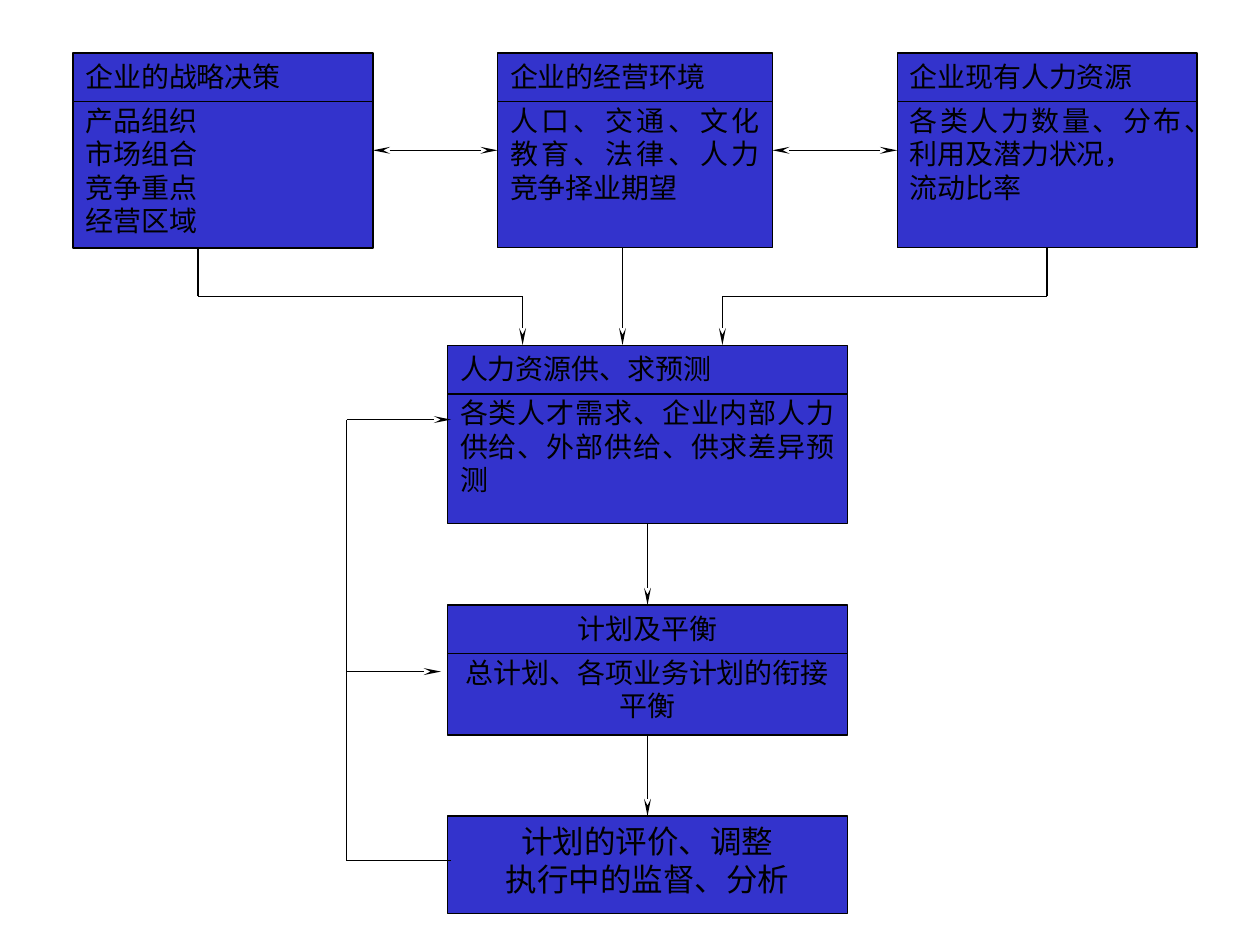
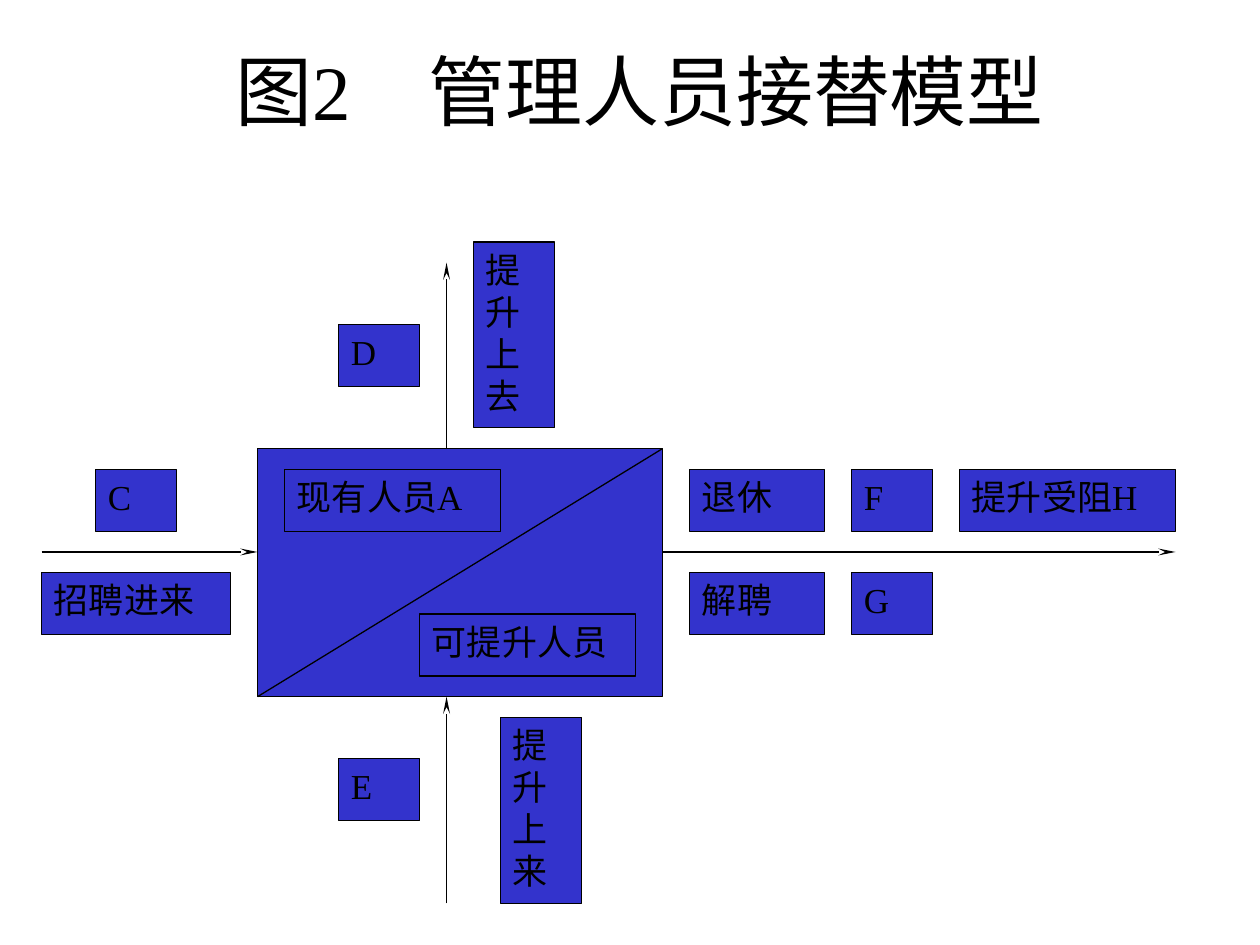
from dataclasses import dataclass
from lxml import etree
from pptx import Presentation, util as u
from pptx.dml.color import RGBColor as Rgb
from pptx.enum import shapes, text
from pptx.oxml.ns import qn

LEFT, MID, JUST = text.PP_ALIGN.LEFT, text.PP_ALIGN.CENTER, text.PP_ALIGN.JUSTIFY


@dataclass(frozen=True)
class Theme:
    fill: Rgb = Rgb(0x33, 0x33, 0xCC)
    ink: Rgb = Rgb(0, 0, 0)
    paper: Rgb = Rgb(255, 255, 255)
    font: str = "Times New Roman"
    line: float = 0.75
    bold: float = 1
    body: int = 16
    note: int = 18
    label: int = 20
    title: int = 44
    gap: int = 6


@dataclass(frozen=True)
class Grid:
    left: float
    top: float
    col: float
    row: float

    def at(self, x, y):
        return u.Inches(self.left + x * self.col), u.Inches(self.top + y * self.row)


T = Theme()
PLAN = Grid(0.58, 0.42, 8.92 / 45, 6.83 / 53)
STAFF = Grid(0.33, 1.92, 9 / 42, 5.25 / 32)
PAGE = Grid(0, 0, 1, 1)

STEPS = [
    ((0, 0, 12, 12), JUST, T.bold, "企业的战略决策",
     ["产品组织", "市场组合", "竞争重点", "经营区域"]),
    ((17, 0, 11, 12), JUST, T.line, "企业的经营环境",
     ["人口、交通、文化教育、法律、人力竞争择业期望"]),
    ((33, 0, 12, 12), JUST, T.line, "企业现有人力资源",
     ["各类人力数量、分布、利用及潜力状况，", "流动比率"]),
    ((15, 18, 16, 11), JUST, T.line, "人力资源供、求预测",
     ["各类人才需求、企业内部人力供给、外部供给、供求差异预测"]),
    ((15, 34, 16, 8), MID, T.line, "计划及平衡",
     ["总计划、各项业务计划的衔接平衡"]),
]
REVIEW = (15, 47, 16, 6), ["计划的评价、调整", "执行中的监督、分析"]
HEAD = 3

PAIRS = [[(12, 6), (17, 6)], [(28, 6), (33, 6)]]
FLOWS = [
    [(22, 12), (22, 18)],
    [(5, 12), (5, 15), (18, 15), (18, 18)],
    [(39, 12), (39, 15), (26, 15), (26, 18)],
    [(23, 29), (23, 34)],
    [(23, 42), (23, 47)],
]
LOOPS = [
    [(3.58, 6.83), (2.75, 6.83), (2.75, 3.33), (3.58, 3.33)],
    [(2.75, 5.33), (3.5, 5.33)],
]

TITLE = "图2　管理人员接替模型"
POOL = (8, 10, 15, 12)
SPLIT = [(23, 10), (8, 22)]
MOVES = [
    [(15, 10), (15, 1)],
    [(15, 32), (15, 22)],
    [(0, 15), (8, 15)],
    [(23, 15), (42, 15)],
]
LABELS = [
    ("提升上去", 16, 0, 3, 9),
    ("D", 11, 4, 3, 3),
    ("提升上来", 17, 23, 3, 9),
    ("E", 11, 25, 3, 3),
    ("招聘进来", 0, 16, 7, 3),
    ("C", 2, 11, 3, 3),
    ("退休", 24, 11, 5, 3),
    ("F", 30, 11, 3, 3),
    ("解聘", 24, 16, 5, 3),
    ("G", 30, 16, 3, 3),
    ("提升受阻H", 34, 11, 8, 3),
    ("现有人员A", 9, 11, 8, 3),
    ("可提升人员", 14, 18, 8, 3),
]


def write(para, words, size, align):
    para.alignment = align
    run = para.add_run()
    run.text = words
    run.font.size = u.Pt(size)
    run.font.name = T.font
    run.font.color.rgb = T.ink


def box(slide, grid, area, lines=(), size=T.body, align=JUST, width=T.line):
    x, y, w, h = area
    left, top = grid.at(x, y)
    right, base = grid.at(x + w, y + h)
    rect = slide.shapes.add_shape(
        shapes.MSO_SHAPE.RECTANGLE, left, top, right - left, base - top)
    rect.shadow.inherit = False
    rect.fill.solid()
    rect.fill.fore_color.rgb = T.fill
    rect.line.color.rgb = T.ink
    rect.line.width = u.Pt(width)
    frame = rect.text_frame
    frame.word_wrap = True
    frame.vertical_anchor = text.MSO_ANCHOR.TOP
    for i, words in enumerate(lines):
        para = frame.add_paragraph() if i else frame.paragraphs[0]
        write(para, words, size, align)
    return frame.paragraphs


def route(slide, grid, points, head=False, tail=False):
    last = len(points) - 2
    for i, (start, end) in enumerate(zip(points, points[1:])):
        link = slide.shapes.add_connector(
            shapes.MSO_CONNECTOR.STRAIGHT, *grid.at(*start), *grid.at(*end))
        link.line.color.rgb = T.ink
        link.line.width = u.Pt(T.line)
        ends = [("a:headEnd", head and i == 0), ("a:tailEnd", tail and i == last)]
        for tag, shown in ends:
            if shown:
                etree.SubElement(link.line._get_or_add_ln(), qn(tag),
                                 type="stealth", w="sm", len="lg")
        etree.SubElement(link._element.spPr, qn("a:effectLst"))


def page(deck, layout):
    slide = deck.slides.add_slide(deck.slide_layouts[layout])
    slide.background.fill.solid()
    slide.background.fill.fore_color.rgb = T.paper
    return slide


def draw_plan(deck):
    slide = page(deck, 6)
    for area, align, width, head, body in STEPS:
        paras = box(slide, PLAN, area, [head, *body], T.body, align, width)
        paras[1].space_before = u.Pt(T.gap)
        x, y, w, _ = area
        route(slide, PLAN, [(x, y + HEAD), (x + w, y + HEAD)])
    area, lines = REVIEW
    box(slide, PLAN, area, lines, T.note, MID)
    for points in PAIRS:
        route(slide, PLAN, points, head=True, tail=True)
    for points in FLOWS:
        route(slide, PLAN, points, tail=True)
    for points in LOOPS:
        route(slide, PAGE, points, tail=True)


def draw_staff(deck):
    slide = page(deck, 5)
    title = slide.shapes.title
    title.left, title.top = PAGE.at(0.83, 0.67)
    title.width, title.height = PAGE.at(8.5, 0.08)
    frame = title.text_frame
    frame.auto_size = text.MSO_AUTO_SIZE.NONE
    frame.vertical_anchor = text.MSO_ANCHOR.MIDDLE
    frame.margin_top = frame.margin_bottom = u.Inches(0.03)
    write(frame.paragraphs[0], TITLE, T.title, MID)
    box(slide, STAFF, POOL)
    for points in MOVES:
        route(slide, STAFF, points, tail=True)
    route(slide, STAFF, SPLIT)
    for words, *area in LABELS:
        box(slide, STAFF, area, [words], T.label)


def main():
    deck = Presentation()
    deck.slide_width, deck.slide_height = u.Inches(10), u.Inches(7.5)
    draw_plan(deck)
    draw_staff(deck)
    deck.save("out.pptx")


if __name__ == "__main__":
    main()
